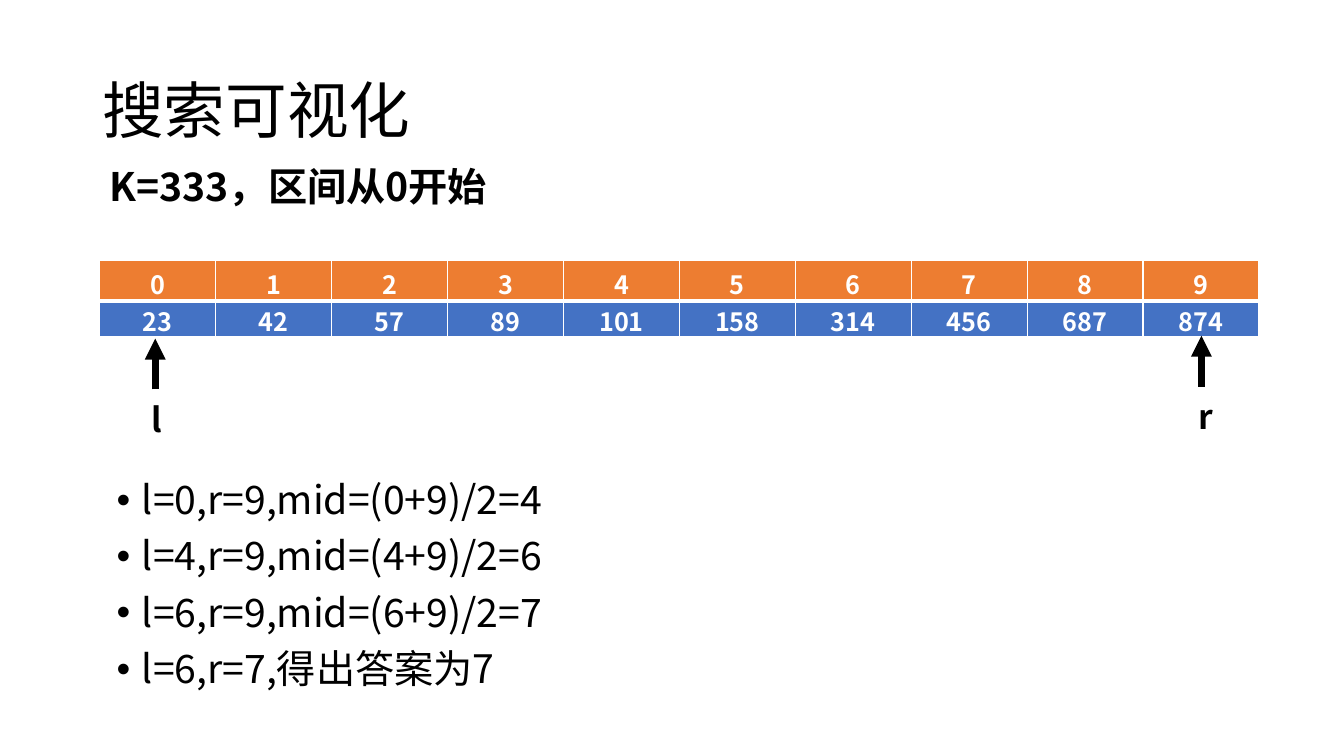
from lxml.etree import SubElement
from pptx import Presentation
from pptx.dml.color import RGBColor
from pptx.enum.shapes import MSO_CONNECTOR as Connector
from pptx.enum.text import MSO_ANCHOR as Anchor, MSO_AUTO_SIZE as AutoSize, PP_ALIGN as Align
from pptx.oxml.ns import qn
from pptx.util import Pt

BLACK = RGBColor(0, 0, 0)
WHITE = RGBColor(0xFF, 0xFF, 0xFF)
BLUE = RGBColor(0x44, 0x72, 0xC4)
ORANGE = RGBColor(0xED, 0x7D, 0x31)
FONT = "Noto Sans CJK SC"

TITLE = "搜索可视化"
TASK = "K=333，区间从0开始"
VALUES = [23, 42, 57, 89, 101, 158, 314, 456, 687, 874]
STEPS = [
    "l=0,r=9,mid=(0+9)/2=4",
    "l=4,r=9,mid=(4+9)/2=6",
    "l=6,r=9,mid=(6+9)/2=7",
    "l=6,r=7,得出答案为7",
]
POINTERS = [("l", 110.9, 241.9, 19.4), ("r", 858.2, 239.8, 22.3)]

ARRAY_LEFT, CELL_WIDTH, CELL_HEIGHT = 71.3, 82.8, 29.2
VALUES_TOP, INDEX_TOP = 212.4, 185.8
ARROW_LENGTH, LABEL_DROP, LABEL_SHIFT = 36.3, 39.5, 9.4
BORDERS = {"a:lnL": 1, "a:lnR": 1, "a:lnT": 1, "a:lnB": 3}


def write(paragraph, text, size, color=BLACK, bold=False, **layout):
    run = paragraph.add_run()
    run.text = text
    for key, value in {"name": FONT, "size": Pt(size), "bold": bold}.items():
        setattr(run.font, key, value)
    run.font.color.rgb = color
    SubElement(run.font._element, qn("a:ea"), typeface=FONT)
    for key, value in layout.items():
        setattr(paragraph, key, value)


def add_text(shapes, box, lines, size, bold=False, frame_format=None, **layout):
    frame = shapes.add_textbox(*map(Pt, box)).text_frame
    for key, value in {"word_wrap": True, **(frame_format or {})}.items():
        setattr(frame, key, value)
    for number, line in enumerate(lines):
        paragraph = frame.add_paragraph() if number else frame.paragraphs[0]
        write(paragraph, line, size, bold=bold, **layout)
    return frame


def add_array(shapes, top, numbers, color):
    array = shapes.add_table(1, len(numbers), Pt(ARRAY_LEFT), Pt(top),
                             Pt(CELL_WIDTH * len(numbers)), Pt(CELL_HEIGHT)).table
    for column, number in enumerate(numbers):
        array.columns[column].width = Pt(CELL_WIDTH)
        cell = array.cell(0, column)
        write(cell.text_frame.paragraphs[0], str(number), 18, WHITE, True, alignment=Align.CENTER)
        properties = cell._tc.get_or_add_tcPr()
        for side, width in BORDERS.items():
            border = SubElement(properties, qn(side), w=str(Pt(width)))
            SubElement(SubElement(border, qn("a:solidFill")), qn("a:srgbClr"), val=str(WHITE))
        cell.fill.solid()
        cell.fill.fore_color.rgb = color


def add_pointer(shapes, label, x, tip, width):
    pointer = shapes.add_group_shape().shapes
    arrow = pointer.add_connector(Connector.STRAIGHT, Pt(x), Pt(tip + ARROW_LENGTH), Pt(x), Pt(tip))
    arrow.line.color.rgb = BLACK
    arrow.line.width = Pt(5)
    SubElement(arrow.line._get_or_add_ln(), qn("a:tailEnd"), type="triangle")
    SubElement(arrow._element.spPr, qn("a:effectLst"))
    add_text(pointer, (x - LABEL_SHIFT, tip + LABEL_DROP, width, 36), [label], 24, True,
             {"word_wrap": False, "auto_size": AutoSize.SHAPE_TO_FIT_TEXT})


def main():
    deck = Presentation()
    deck.slide_width, deck.slide_height = Pt(960), Pt(540)
    shapes = deck.slides.add_slide(deck.slide_layouts[6]).shapes

    add_text(shapes, (66, 28.8, 828, 104.4), [TITLE], 44,
             frame_format={"vertical_anchor": Anchor.MIDDLE}, line_spacing=0.9)
    add_array(shapes, VALUES_TOP, VALUES, BLUE)
    add_text(shapes, (71.3, 112.3, 357.8, 41), [TASK], 28, True,
             {"auto_size": AutoSize.SHAPE_TO_FIT_TEXT})
    steps = add_text(shapes, (76.3, 339.8, 828, 159.1), STEPS, 28,
                     line_spacing=0.9, space_before=Pt(10))
    for step in steps.paragraphs:
        properties = step._p.get_or_add_pPr()
        properties.set("marL", str(Pt(18)))
        properties.set("indent", str(Pt(-18)))
        SubElement(properties, qn("a:buFont"), typeface="Arial")
        SubElement(properties, qn("a:buChar"), char="•")
    for pointer in POINTERS:
        add_pointer(shapes, *pointer)
    add_array(shapes, INDEX_TOP, range(len(VALUES)), ORANGE)

    deck.save("out.pptx")


if __name__ == "__main__":
    main()
